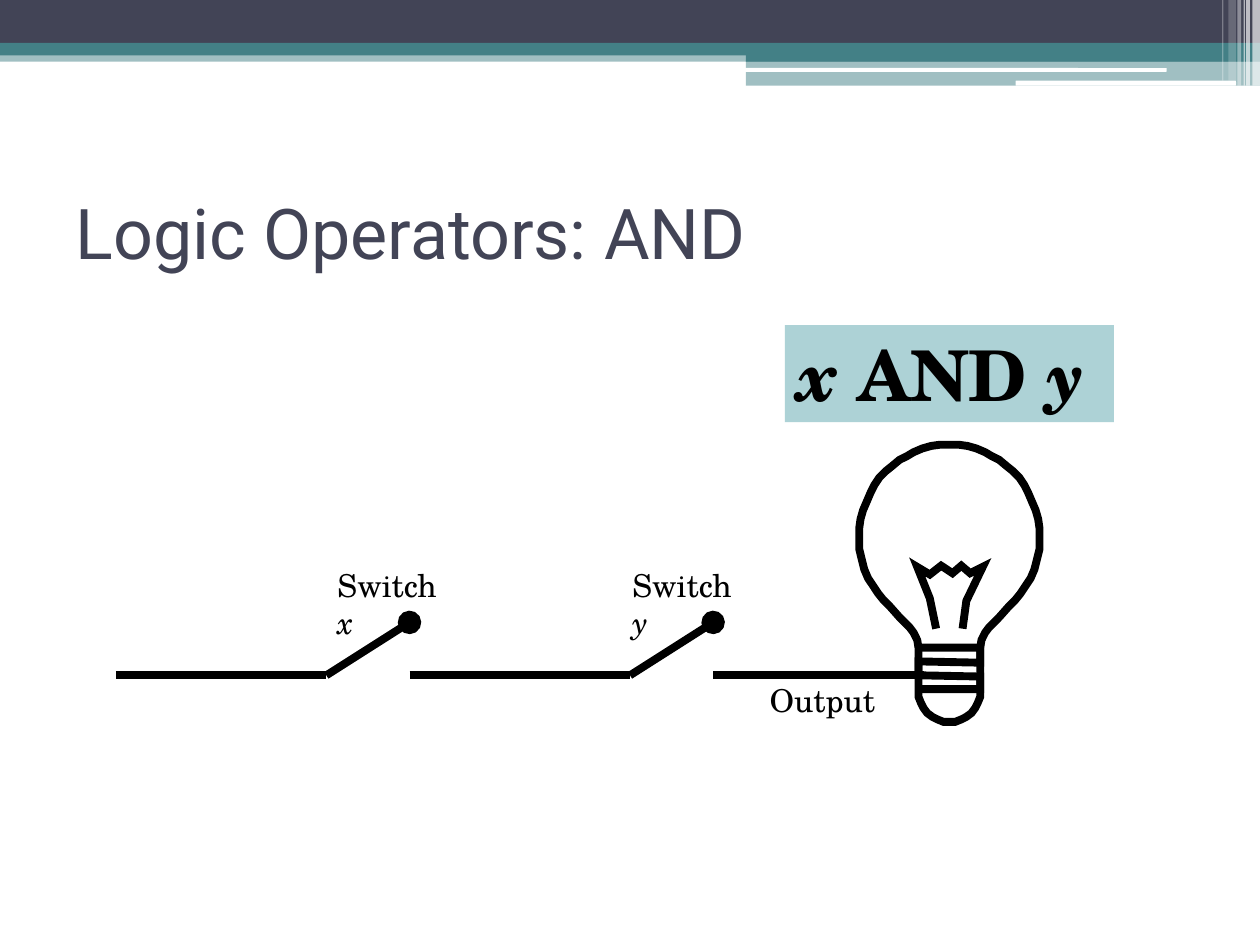
import lxml.etree
import pptx
import pptx.dml.color
import pptx.enum.shapes
import pptx.enum.text
import pptx.oxml.ns
import pptx.util

NAVY = pptx.dml.color.RGBColor(0x42, 0x44, 0x56)
TEAL = pptx.dml.color.RGBColor(0x43, 0x80, 0x86)
PALE_TEAL = pptx.dml.color.RGBColor(0xAD, 0xD2, 0xD6)
WHITE = pptx.dml.color.RGBColor(0xFF, 0xFF, 0xFF)
BLACK = pptx.dml.color.RGBColor(0, 0, 0)

PX = 9144
RECT = pptx.enum.shapes.MSO_SHAPE.RECTANGLE
ROUNDED = pptx.enum.shapes.MSO_SHAPE.ROUNDED_RECTANGLE

BANDS = [
    (RECT, (0, 40, 1000, 9), TEAL, 50),
    (RECT, (0, 0, 1000, 34), NAVY, 100),
    (RECT, (0, 34, 1000, 10), TEAL, 100),
    (RECT, (592, 39, 408, 10), TEAL, 100),
    (RECT, (592, 48, 408, 20), TEAL, 50),
    (ROUNDED, (591, 54, 335, 3), WHITE, 100),
    (ROUNDED, (806, 64, 175, 4), WHITE, 100),
]
STRIPES = [
    (994, 6, 68, 65), (989, 3, 68, 65), (987, 1, 68, 60),
    (982, 3, 68, 40), (975, 6, 64, 20), (970, 1, 64, 30),
]

BULB_MIRROR = 1507
BULB_RIGHT = [
    (754, 573), (758, 573), (763, 571), (767, 569), (771, 566), (774, 562),
    (776, 558), (778, 553), (778, 548), (778, 514), (779, 508), (782, 502),
    (785, 498), (793, 490), (801, 481), (806, 476), (810, 471), (814, 465),
    (818, 459), (821, 452), (823, 444), (825, 436), (825, 427), (825, 419),
    (824, 412), (822, 405), (819, 398), (816, 391), (813, 385), (809, 379),
    (804, 374), (799, 370), (793, 365), (787, 362), (782, 359), (775, 356),
    (768, 354), (761, 353), (754, 353),
]
FILAMENT = [
    (743, 499), (738, 475), (730, 455), (728, 450), (738, 456), (747, 449),
    (756, 455), (763, 449), (770, 455), (780, 450), (767, 477), (764, 499),
]
SCREW_BASE = [
    (729, 514), (778, 514), (778, 526), (729, 525),
    (729, 536), (778, 537), (778, 547), (730, 547),
]


def assign(target, values):
    for name, value in values.items():
        setattr(target, name, value)


def add_xml(parent, tag, **attributes):
    return lxml.etree.SubElement(parent, pptx.oxml.ns.qn(tag), attributes)


class CircuitSlide:
    heading = {"name": "Roboto", "size": pptx.util.Pt(40), "bold": False}
    label = {"name": "TeX Gyre Schola", "size": pptx.util.Pt(18), "bold": False}
    formula = {"name": "TeX Gyre Schola", "size": pptx.util.Pt(40), "bold": True}
    stroke = pptx.util.Pt(4.5)

    def __init__(self, presentation):
        self.slide = presentation.slides.add_slide(presentation.slide_layouts[5])
        self.shapes = self.slide.shapes

    def band(self, preset, box, color, opacity):
        band = self.shapes.add_shape(preset, *(n * PX for n in box))
        band.shadow.inherit = False
        band.fill.solid()
        band.fill.fore_color.rgb = color
        band.line.fill.background()
        if opacity < 100:
            tint = band.element.spPr.find(".//" + pptx.oxml.ns.qn("a:srgbClr"))
            add_xml(tint, "a:alpha", val=str(opacity * 1000))

    def fill_text(self, frame, runs, style, color):
        paragraph = frame.paragraphs[0]
        paragraph.alignment = pptx.enum.text.PP_ALIGN.LEFT
        for words, italic in runs:
            run = paragraph.add_run()
            run.text = words
            assign(run.font, {**style, "italic": italic})
            run.font.color.rgb = color

    def title(self, words, box):
        title = self.shapes.title
        assign(title, dict(zip(("left", "top", "width", "height"), (n * PX for n in box))))
        title.text_frame.vertical_anchor = pptx.enum.text.MSO_ANCHOR.MIDDLE
        self.fill_text(title.text_frame, [(words, False)], self.heading, NAVY)

    def text(self, runs, box, style, background=None):
        caption = self.shapes.add_textbox(*(n * PX for n in box))
        caption.text_frame.word_wrap = True
        if background is not None:
            caption.fill.solid()
            caption.fill.fore_color.rgb = background
        self.fill_text(caption.text_frame, runs, style, BLACK)

    def ink(self, shape):
        shape.line.color.rgb = BLACK
        shape.line.width = self.stroke
        return shape.element.spPr.find(pptx.oxml.ns.qn("a:ln"))

    def wire(self, start, end, knob=False):
        wire = self.shapes.add_connector(
            pptx.enum.shapes.MSO_CONNECTOR.STRAIGHT, *(n * PX for n in start + end))
        line = self.ink(wire)
        if knob:
            add_xml(line, "a:tailEnd", type="oval")
        add_xml(wire.element.spPr, "a:effectLst")

    def drawing(self, outline, *strokes):
        builder = self.shapes.build_freeform(*outline[0], scale=PX)
        builder.add_line_segments(outline[1:], close=True)
        for points in strokes:
            builder.move_to(*points[0])
            builder.add_line_segments(points[1:], close=False)
        drawing = builder.convert_to_shape()
        drawing.shadow.inherit = False
        drawing.fill.background()
        add_xml(self.ink(drawing), "a:miter", lim="800000")


def main():
    presentation = pptx.Presentation()
    assign(presentation, {"slide_width": 1000 * PX, "slide_height": 750 * PX})
    circuit = CircuitSlide(presentation)

    for band in BANDS:
        circuit.band(*band)
    for left, width, height, opacity in STRIPES:
        circuit.band(RECT, (left, 0, width, height), WHITE, opacity)

    circuit.title("Logic Operators: AND", (50, 125, 900, 117))

    bulb_left = [(BULB_MIRROR - x, y) for x, y in reversed(BULB_RIGHT)]
    circuit.drawing(BULB_RIGHT + bulb_left, FILAMENT, SCREW_BASE)

    for start in (92, 333):
        hinge, contact, end = start + 167, start + 233, start + 400
        circuit.wire((start, 536), (hinge, 536))
        circuit.wire((contact, 536), (end, 536))
        circuit.wire((hinge, 536), (contact, 494), knob=True)

    for variable, left in (("x", 258), ("y", 492)):
        circuit.text([("Switch ", False), (variable, True)],
                     (left, 444, 114, 40), circuit.label)
    circuit.text([("Output", False)], (601, 536, 108, 40), circuit.label)
    circuit.text([("x", True), (" AND ", False), ("y", True)],
                 (623, 258, 261, 77), circuit.formula, PALE_TEAL)

    presentation.save("out.pptx")


if __name__ == "__main__":
    main()
